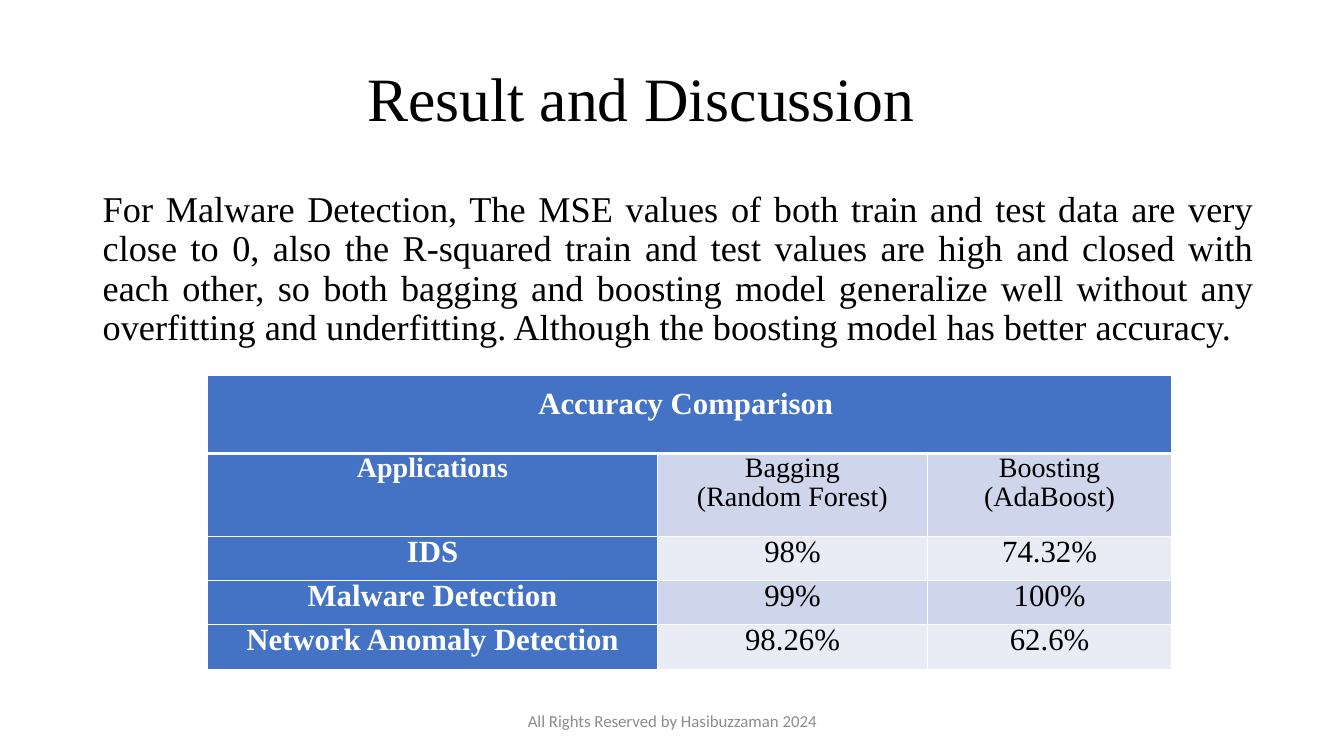
import dataclasses
import typing

import lxml.etree
import pptx
import pptx.dml.color
import pptx.enum.text
import pptx.oxml.ns
import pptx.util

Inches = pptx.util.Inches
Align = pptx.enum.text.PP_ALIGN
Anchor = pptx.enum.text.MSO_ANCHOR


@dataclasses.dataclass(frozen=True)
class Theme:
    serif: str = "Times New Roman"
    sans: str = "Calibri"
    black: str = "000000"
    white: str = "FFFFFF"
    gray: str = "8C8C8C"
    blue: str = "4472C4"
    bands: tuple[str, str] = ("CFD5EA", "E9EBF5")
    title_size: float = 44
    body_size: float = 25.9
    table_size: float = 22
    heading_size: float = 20
    footer_size: float = 12
    thin_border: float = 1
    thick_border: float = 3


@dataclasses.dataclass(frozen=True)
class TextBlock:
    text: str
    area: tuple[float, float, float, float]
    style: dict[str, typing.Any]
    anchor: Anchor = Anchor.MIDDLE


THEME = Theme()

TEXT_BLOCKS = [
    TextBlock("Result and Discussion", (0.55, 0.28, 11.62, 1.45),
              dict(size=THEME.title_size, line_spacing=0.9)),
    TextBlock("For Malware Detection, The MSE values of both train and test data are very "
              "close to 0, also the R-squared train and test values are high and closed with "
              "each other, so both bagging and boosting model generalize well without any "
              "overfitting and underfitting. Although the boosting model has better accuracy.",
              (0.92, 1.85, 11.62, 1.87),
              dict(size=THEME.body_size, align=Align.JUSTIFY, line_spacing=0.9, space_before=10),
              Anchor.TOP),
    TextBlock("All Rights Reserved by Hasibuzzaman 2024", (4.42, 6.95, 4.5, 0.4),
              dict(size=THEME.footer_size, font=THEME.sans, color=THEME.gray)),
]

TABLE_AREA = (2.06, 3.72, 9.56, 2.92)
COLUMN_WIDTHS = [4.46, 2.68, 2.42]
ROW_HEIGHTS = [0.78, 0.82, 0.44, 0.44, 0.44]
ACCURACY_ROWS = [
    ["Accuracy Comparison ", "", ""],
    ["Applications", "Bagging\n(Random Forest)", "Boosting\n(AdaBoost)"],
    ["IDS", "98%", "74.32%"],
    ["Malware Detection", "99%", "100%"],
    ["Network Anomaly Detection", "98.26%", "62.6%"],
]


def write_text(frame: typing.Any, text: str, *, size: float, font: str = THEME.serif,
               color: str = THEME.black, bold: bool = False, align: Align = Align.CENTER,
               line_spacing: float = 1.0, space_before: float = 0, space_after: float = 0) -> None:
    """Fill a text frame, one paragraph for each line of text."""
    frame.word_wrap = True
    for index, line in enumerate(text.split("\n")):
        para = frame.add_paragraph() if index else frame.paragraphs[0]
        para.alignment = align
        para.line_spacing = line_spacing
        para.space_before = pptx.util.Pt(space_before)
        para.space_after = pptx.util.Pt(space_after)
        span = para.add_run()
        span.text = line
        span.font.name = font
        span.font.size = pptx.util.Pt(size)
        span.font.bold = bold
        span.font.color.rgb = pptx.dml.color.RGBColor.from_string(color)


def add_text_block(page: typing.Any, block: TextBlock) -> None:
    box = page.shapes.add_textbox(*map(Inches, block.area))
    box.text_frame.vertical_anchor = block.anchor
    write_text(box.text_frame, block.text, **block.style)


def set_borders(cell: typing.Any, row: int) -> None:
    """Draw white borders, with a thick one under the table heading."""
    widths = dict.fromkeys(["lnL", "lnR", "lnT", "lnB"], THEME.thin_border)
    if row <= 1:
        widths["lnT" if row else "lnB"] = THEME.thick_border
    qn = pptx.oxml.ns.qn
    properties = cell._tc.get_or_add_tcPr()
    for index, (side, width) in enumerate(widths.items()):
        line = lxml.etree.Element(qn(f"a:{side}"), w=str(pptx.util.Pt(width)))
        fill = lxml.etree.SubElement(line, qn("a:solidFill"))
        lxml.etree.SubElement(fill, qn("a:srgbClr"), val=THEME.white)
        properties.insert(index, line)


def format_cell(cell: typing.Any, text: str, row: int, column: int) -> None:
    is_title = row == 0
    is_heading = is_title or column == 0
    cell.fill.solid()
    cell.fill.fore_color.rgb = pptx.dml.color.RGBColor.from_string(
        THEME.blue if is_heading else THEME.bands[(row - 1) % 2])
    cell.margin_left = cell.margin_right = Inches(0.27 if is_title else 0.2)
    cell.margin_top = cell.margin_bottom = Inches(0.14 if is_title else 0)
    set_borders(cell, row)
    if text:
        write_text(cell.text_frame, text, bold=is_heading, line_spacing=0.95,
                   size=THEME.heading_size if row == 1 else THEME.table_size,
                   color=THEME.white if is_heading else THEME.black,
                   space_after=0 if "\n" in text else 6)


def add_accuracy_table(page: typing.Any) -> None:
    table = page.shapes.add_table(len(ROW_HEIGHTS), len(COLUMN_WIDTHS),
                                  *map(Inches, TABLE_AREA)).table
    for column, width in zip(table.columns, COLUMN_WIDTHS):
        column.width = Inches(width)
    for row, height in zip(table.rows, ROW_HEIGHTS):
        row.height = Inches(height)
    for row_index, texts in enumerate(ACCURACY_ROWS):
        for column_index, text in enumerate(texts):
            format_cell(table.cell(row_index, column_index), text, row_index, column_index)
    table.cell(0, 0).merge(table.cell(0, len(COLUMN_WIDTHS) - 1))


def main() -> None:
    deck = pptx.Presentation()
    deck.slide_width, deck.slide_height = Inches(13.33), Inches(7.5)
    page = deck.slides.add_slide(deck.slide_layouts[6])
    for block in TEXT_BLOCKS:
        add_text_block(page, block)
    add_accuracy_table(page)
    deck.save("out.pptx")


if __name__ == "__main__":
    main()
